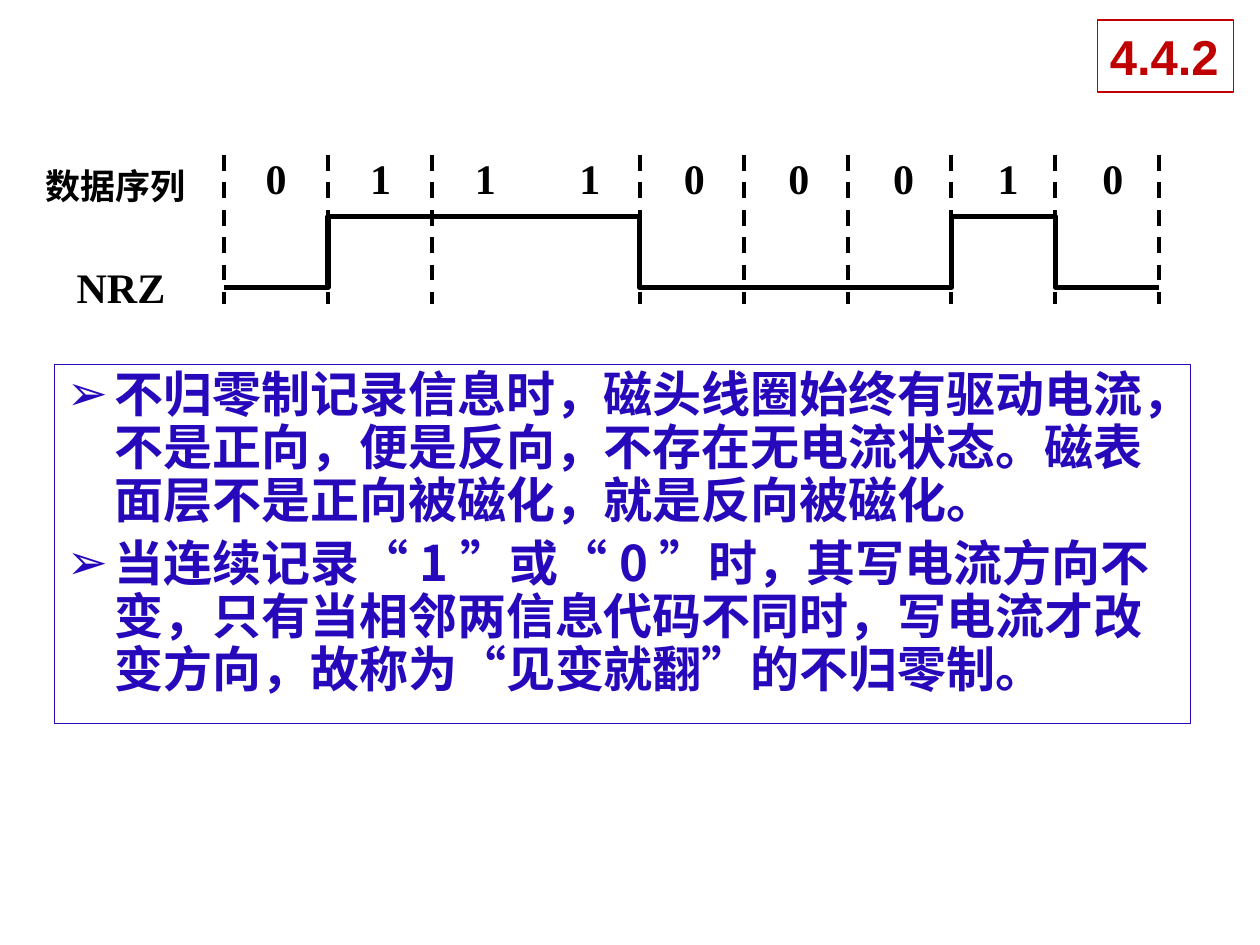
"""Build the slide on NRZ recording with its waveform and notes."""
from lxml import etree
from pptx import Presentation
from pptx.dml.color import RGBColor
from pptx.enum.dml import MSO_LINE
from pptx.enum.shapes import MSO_CONNECTOR, MSO_SHAPE
from pptx.enum.text import MSO_ANCHOR, MSO_AUTO_SIZE, PP_ALIGN
from pptx.oxml.ns import qn
from pptx.util import Inches, Pt

STRAIGHT = MSO_CONNECTOR.STRAIGHT
RECT = MSO_SHAPE.RECTANGLE
DASH = MSO_LINE.DASH
TOP = MSO_ANCHOR.TOP
NONE = MSO_AUTO_SIZE.NONE
LEFT = PP_ALIGN.LEFT
BLACK = RGBColor(0x00, 0x00, 0x00)
WHITE = RGBColor(0xFF, 0xFF, 0xFF)
BLUE = RGBColor(0x27, 0x09, 0xBB)
RED = RGBColor(0xC0, 0x00, 0x00)
SERIF = "Times New Roman"
SANS = "Noto Sans CJK SC"

BITS = "011100010"
START, STEP = 1.78, 0.8245
LEVELS = {"0": 2.28, "1": 1.72}
NOTES = [
    "不归零制记录信息时，磁头线圈始终有驱动电流，不是正向，便是反向，不存在无电流状态。磁表面层不是正向被磁化，就是反向被磁化。",
    "当连续记录“1”或“0”时，其写电流方向不变，只有当相邻两信息代码不同时，写电流才改变方向，故称为“见变就翻”的不归零制。",
]


def style(para, size, face, color):
    font = para.font
    font.size, font.bold, font.name = Pt(size), True, face
    font.color.rgb = color
    props = para._p.pPr.find(qn("a:defRPr"))
    etree.SubElement(props, qn("a:ea")).set("typeface", SANS)


def label(text, left, top, width, height, size):
    box = slide.shapes.add_textbox(Inches(left), Inches(top), Inches(width), Inches(height))
    frame = box.text_frame
    frame.word_wrap = False
    frame.text = text
    style(frame.paragraphs[0], size, SERIF, BLACK)


prs = Presentation()
prs.slide_width, prs.slide_height = Inches(10), Inches(7.5)
slide = prs.slides.add_slide(prs.slide_layouts[1])
title, body = slide.placeholders
title.element.getparent().remove(title.element)

body.left, body.top = Inches(0.43), Inches(2.89)
body.width, body.height = Inches(9.02), Inches(2.85)
body.fill.solid()
body.fill.fore_color.rgb = WHITE
body.line.color.rgb = BLUE
body.line.width = Pt(0.75)
frame = body.text_frame
frame.auto_size = NONE
frame.vertical_anchor = TOP
frame.text = "\n".join(NOTES)
for i, para in enumerate(frame.paragraphs):
    para.line_spacing = 0.9
    para.space_before = Pt(5.6 if i else 0)
    props = para._p.get_or_add_pPr()
    props.set("marL", str(Inches(0.38)))
    props.set("indent", str(Inches(-0.38)))
    tint = etree.SubElement(props, qn("a:buClr"))
    etree.SubElement(tint, qn("a:srgbClr")).set("val", str(BLUE))
    etree.SubElement(props, qn("a:buChar")).set("char", "➢")
    style(para, 28, SANS, BLUE)

for i in range(len(BITS) + 1):
    if i == 3:
        continue
    x = Inches(START + i * STEP)
    mark = slide.shapes.add_connector(STRAIGHT, x, Inches(1.23), x, Inches(2.41))
    mark.line.color.rgb = BLACK
    mark.line.width = Pt(2.25)
    mark.line.dash_style = DASH
    etree.SubElement(mark._element.spPr, qn("a:effectLst"))

for i, bit in enumerate(BITS):
    label(bit, 2.01 + i * 0.83, 1.16, 0.37, 0.5, 24)
label("数据序列", 0.26, 1.26, 1.32, 0.43, 20)

points = []
for i, bit in enumerate(BITS):
    for edge in (i, i + 1):
        points.append((Inches(START + edge * STEP), Inches(LEVELS[bit])))
pen = slide.shapes.build_freeform(*points[0])
pen.add_line_segments(points[1:], close=False)
wave = pen.convert_to_shape()
wave.shadow.inherit = False
wave.fill.background()
wave.line.color.rgb = BLACK
wave.line.width = Pt(3)

label("NRZ", 0.51, 2.03, 0.91, 0.5, 24)

badge = slide.shapes.add_shape(RECT, Inches(8.71), Inches(0.16), Inches(1.08), Inches(0.57))
badge.shadow.inherit = False
badge.fill.solid()
badge.fill.fore_color.rgb = WHITE
badge.line.color.rgb = RED
badge.line.width = Pt(0.75)
frame = badge.text_frame
frame.vertical_anchor = TOP
frame.text = "4.4.2"
frame.paragraphs[0].alignment = LEFT
style(frame.paragraphs[0], 28, "Arial", RED)

prs.save("out.pptx")
